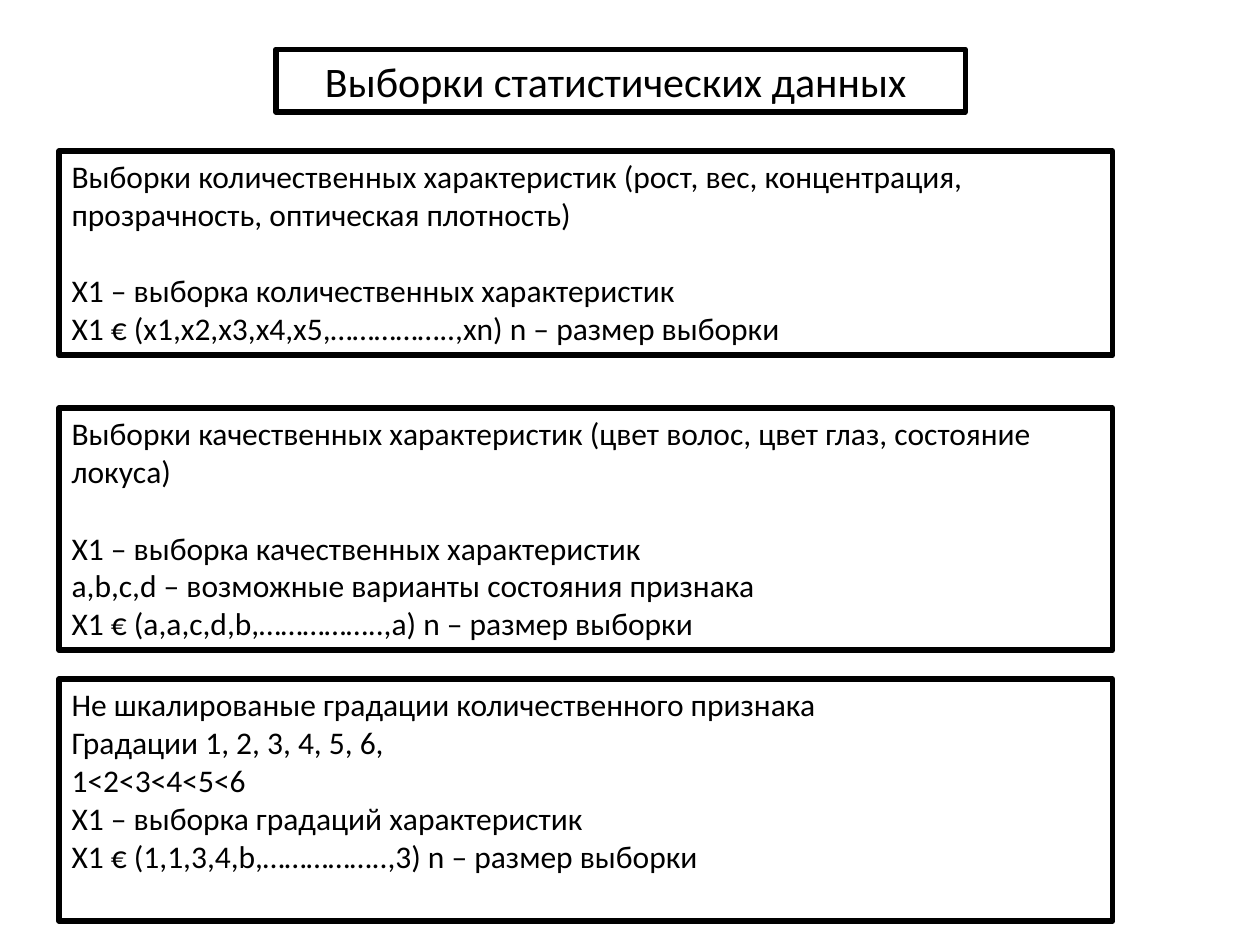
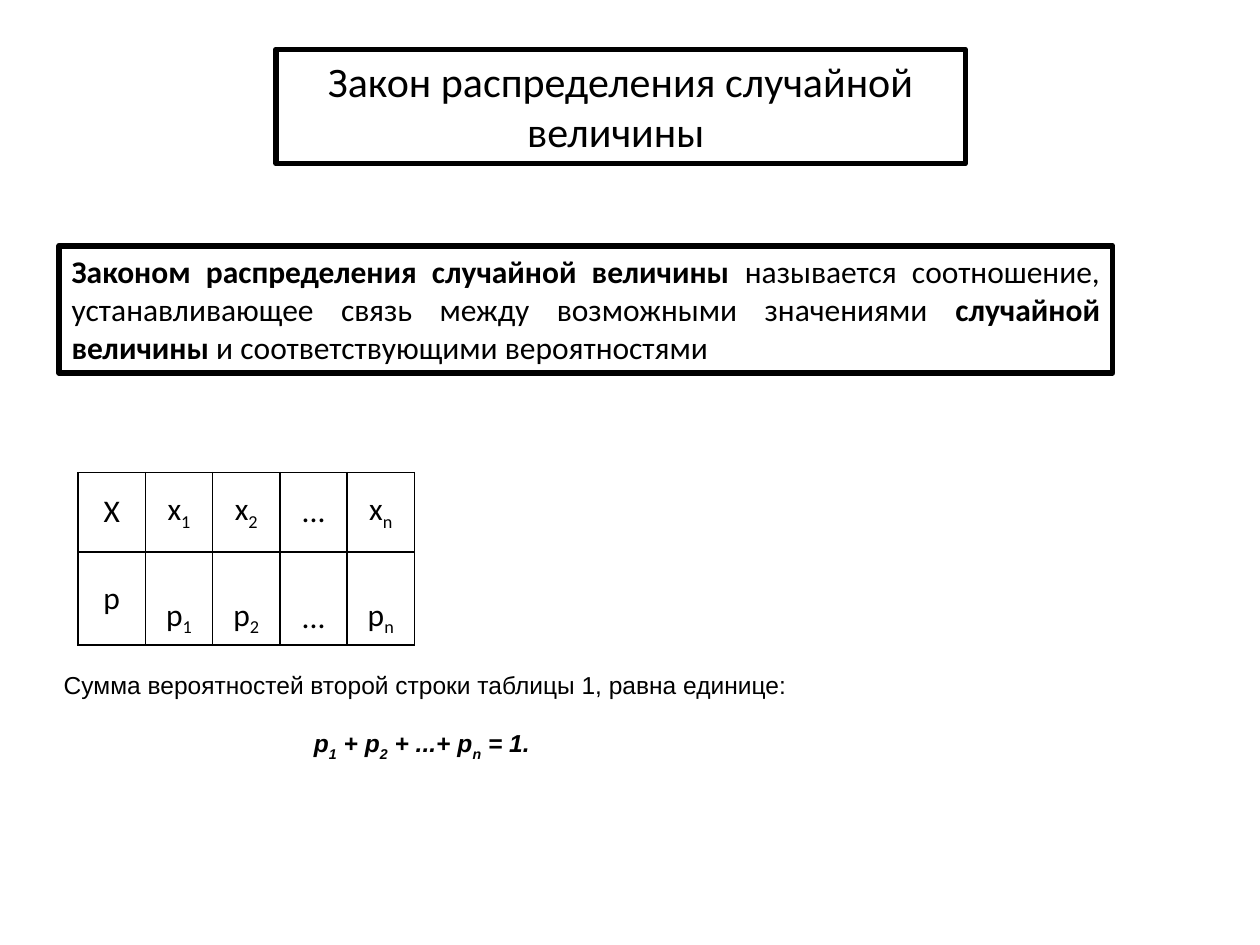
from lxml.etree import SubElement as Sub
from pptx import Presentation
from pptx.dml.color import RGBColor as Rgb
from pptx.enum.shapes import MSO_SHAPE as Kind
from pptx.enum.text import MSO_ANCHOR as Anchor, MSO_AUTO_SIZE as Auto, PP_ALIGN as Align
from pptx.oxml.ns import qn
from pptx.util import Inches, Pt

HUE = {"ink": "000000"}
LEFT, WIDE = 0.47, 8.36
DOTS = "…" * 5 + ".."
TAIL = " n – размер выборки"


def write(frame, paras, size=18, face="Calibri", align=Align.LEFT,
          anchor=Anchor.TOP, drop=-25, gaps=None, wrap=True):
    frame.word_wrap = wrap
    frame.vertical_anchor = anchor
    for i, runs in enumerate(paras):
        para = frame.paragraphs[0] if i == 0 else frame.add_paragraph()
        para.alignment = align
        para.space_before = Pt((gaps or {}).get(i, 0))
        for item in [runs] if isinstance(runs, str) else runs:
            text, mark = (item, "") if isinstance(item, str) else item
            run = para.add_run()
            run.text = text
            font = run.font
            font.size, font.name = Pt(size), face
            font.bold = "bold" in mark
            font.italic = "italic" in mark
            font.color.rgb = Rgb.from_string(HUE["ink"])
            if "sub" in mark:
                run._r.get_or_add_rPr().set("baseline", str(drop * 1000))


class Deck:
    def __init__(self):
        self.prs = Presentation()
        self.prs.slide_width, self.prs.slide_height = Inches(10), Inches(7.5)
        self.slide = None

    def edge(self, shape, width):
        shape.fill.background()
        shape.line.color.rgb = Rgb.from_string(HUE["ink"])
        shape.line.width = Pt(width)

    def page(self, title, high):
        self.slide = self.prs.slides.add_slide(self.prs.slide_layouts[5])
        head = self.slide.shapes.title
        head.left, head.top = Inches(2.19), Inches(0.39)
        head.width, head.height = Inches(5.47), Inches(high)
        self.edge(head, 3)
        head.text_frame.auto_size = Auto.NONE
        write(head.text_frame, [title], size=24, align=Align.CENTER)

    def panel(self, top, high, paras, **style):
        box = self.slide.shapes.add_shape(
            Kind.RECTANGLE, Inches(LEFT), Inches(top), Inches(WIDE), Inches(high))
        box.shadow.inherit = False
        self.edge(box, 3.25)
        write(box.text_frame, paras, **style)

    def label(self, left, top, wide, high, paras, **style):
        box = self.slide.shapes.add_textbox(
            Inches(left), Inches(top), Inches(wide), Inches(high))
        write(box.text_frame, paras, **style)

    def border(self, cell):
        props = cell._tc.get_or_add_tcPr()
        for side in ("a:lnL", "a:lnR", "a:lnT", "a:lnB"):
            line = Sub(props, qn(side), w=str(Pt(1)))
            fill = Sub(line, qn("a:solidFill"))
            Sub(fill, qn("a:srgbClr"), val=HUE["ink"])

    def grid(self, left, top, wide, highs, rows):
        count = len(rows[0])
        table = self.slide.shapes.add_table(
            len(rows), count, Inches(left), Inches(top),
            Inches(wide), Inches(sum(highs))).table
        table.first_row = table.horz_banding = False
        for col in table.columns:
            col.width = Inches(wide / count)
        for r, row in enumerate(rows):
            table.rows[r].height = Inches(highs[r])
            for c, runs in enumerate(row):
                cell = table.cell(r, c)
                self.border(cell)
                cell.fill.background()
                write(cell.text_frame, [runs], align=Align.CENTER)
                cell.vertical_anchor = Anchor.MIDDLE
                if r and c:
                    cell.margin_top = Inches(0.35)


def series(name):
    one, two, last = ([name, (mark, "sub")] for mark in "12n")
    return [one, two, "...", last]


deck = Deck()

deck.page("Выборки статистических данных\u00a0", 0.5)
deck.panel(1.2, 1.62, [
    "Выборки количественных характеристик (рост, вес, концентрация, "
    "прозрачность, оптическая плотность)",
    "X1 – выборка количественных характеристик",
    f"X1 € (x1,x2,x3,x4,x5,{DOTS},xn){TAIL}"], gaps={1: 22})
deck.panel(3.24, 1.92, [
    "Выборки качественных характеристик (цвет волос, цвет глаз, состояние локуса)",
    "X1 – выборка качественных характеристик",
    "a,b,c,d – возможные варианты состояния признака",
    f"X1 € (a,a,c,d,b,{DOTS},a){TAIL}"], gaps={1: 22})
deck.panel(5.39, 1.92, [
    "Не шкалированые градации количественного признака",
    "Градации 1, 2, 3, 4, 5, 6,",
    "1<2<3<4<5<6",
    "X1 – выборка градаций характеристик",
    f"X1 € (1,1,3,4,b,{DOTS},3){TAIL}"])

deck.page("Закон распределения случайной величины\u00a0", 0.91)
deck.panel(1.95, 1.01, [[
    ("Законом распределения случайной величины", "bold"),
    " называется соотношение, устанавливающее связь между возможными значениями ",
    ("случайной величины", "bold"),
    " и соответствующими вероятностями"]], align=Align.JUSTIFY)
deck.grid(0.62, 3.75, 2.67, [0.63, 0.74],
          [["Х", *series("х")], ["p", *series("p")]])
total = [(text, "bold italic" + mark) for text, mark in (
    ("p", ""), ("1", " sub"), (" + p", ""), ("2", " sub"),
    (" + ...+ p", ""), ("n", " sub"), (" = 1. ", ""))]
deck.label(0.39, 4.38, 5.97, 1.72, [
    "Сумма вероятностей второй строки таблицы 1, равна единице:", total],
    size=14, face="Arial", align=Align.CENTER, anchor=Anchor.BOTTOM,
    drop=-30, gaps={1: 16}, wrap=False)

deck.prs.save("out.pptx")
